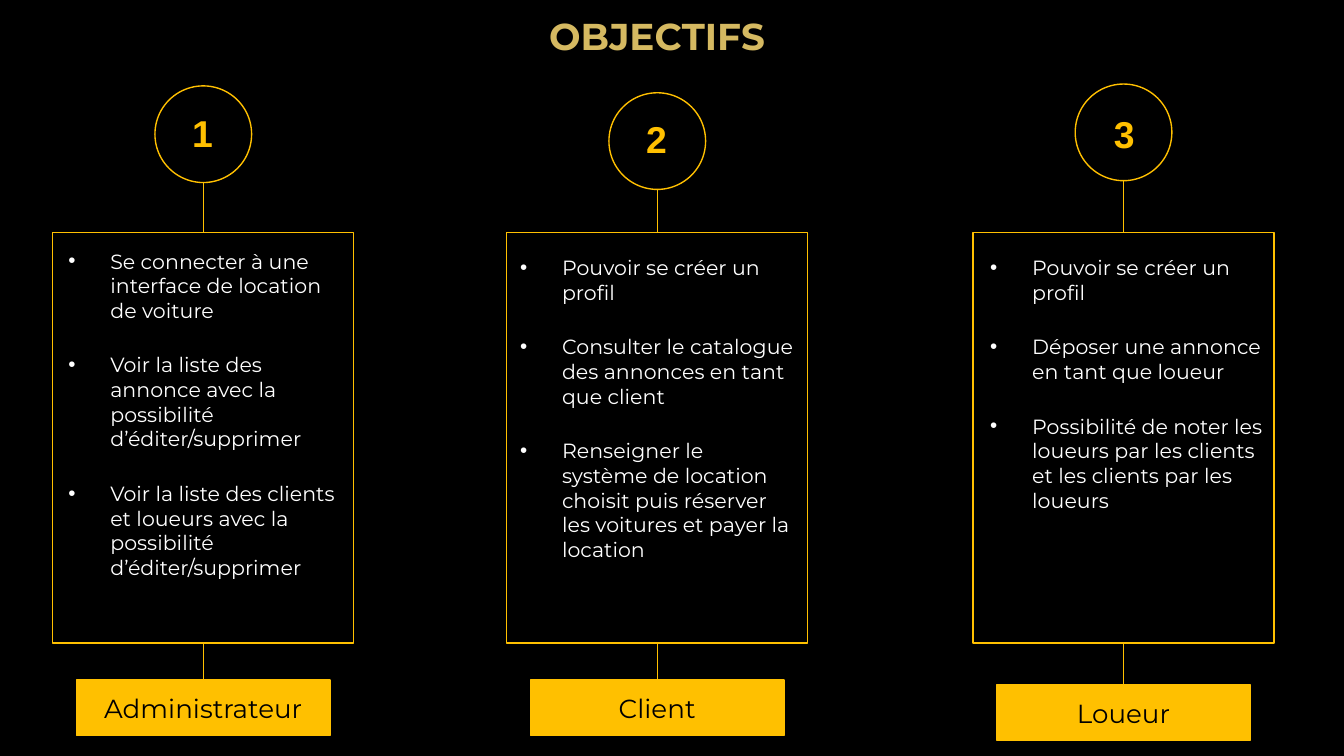
from lxml import etree
from pptx import Presentation
from pptx.dml.color import RGBColor
from pptx.enum.shapes import MSO_CONNECTOR, MSO_SHAPE
from pptx.enum.text import MSO_ANCHOR, PP_ALIGN
from pptx.oxml.ns import qn
from pptx.util import Pt

BLACK = RGBColor(0x00, 0x00, 0x00)
WHITE = RGBColor(0xFF, 0xFF, 0xFF)
AMBER = RGBColor(0xFF, 0xC0, 0x00)
GOLD = RGBColor(0xD5, 0xB9, 0x61)
RECTANGLE, OVAL = MSO_SHAPE.RECTANGLE, MSO_SHAPE.OVAL
STRAIGHT = MSO_CONNECTOR.STRAIGHT
LEFT, CENTER = PP_ALIGN.LEFT, PP_ALIGN.CENTER
TOP, MIDDLE, BOTTOM = MSO_ANCHOR.TOP, MSO_ANCHOR.MIDDLE, MSO_ANCHOR.BOTTOM
RECT_TOP, RECT_BOTTOM = 0, 2

TITLE = "OBJECTIFS"
ROLES = [
    dict(number="1", name="Administrateur", center=108.9, circle_top=46,
         number_at=(95.8, 55.4), list_at=(29.5, 126), label_top=364.4,
         goals=["Se connecter à une interface de location de voiture",
                "Voir la liste des annonce avec la possibilité d’éditer/supprimer",
                "Voir la liste des clients et loueurs avec la possibilité d’éditer/supprimer"]),
    dict(number="2", name="Client", center=352.1, circle_top=49.7,
         number_at=(339, 58.6), list_at=(271.5, 129.6), label_top=364.4,
         goals=["Pouvoir se créer un profil",
                "Consulter le catalogue des annonces en tant que client",
                "Renseigner le système de location choisit puis réserver "
                "les voitures et payer la location"]),
    dict(number="3", name="Loueur", center=601.9, circle_top=45,
         number_at=(589.7, 56), list_at=(523.4, 129.6), label_top=367,
         goals=["Pouvoir se créer un profil",
                "Déposer une annonce en tant que loueur",
                "Possibilité de noter les loueurs par les clients "
                "et les clients par les loueurs"]),
]
CIRCLE = 51.8
PANEL_TOP, PANEL_WIDTH, PANEL_HEIGHT = 124.4, 161.2, 220
LABEL_WIDTH, LABEL_HEIGHT = 136, 29.6

deck = Presentation()
deck.slide_width, deck.slide_height = Pt(720), Pt(405)
page = deck.slides.add_slide(deck.slide_layouts[6])
page.background.fill.solid()
page.background.fill.fore_color.rgb = BLACK


def write(frame, *texts, size=11, color=WHITE, font="Montserrat", bold=False,
          align=LEFT, anchor=TOP, inset=7.2, bullet=False):
    frame.word_wrap = True
    frame.vertical_anchor = anchor
    frame.margin_left = frame.margin_right = Pt(7.2)
    frame.margin_top = frame.margin_bottom = Pt(inset)
    for index, text in enumerate(texts):
        para = frame.add_paragraph() if index else frame.paragraphs[0]
        para.alignment = align
        if bullet:
            para.space_after = Pt(16)
            settings = para._p.get_or_add_pPr()
            settings.set("marL", str(Pt(22.5)))
            settings.set("indent", str(-Pt(22.5)))
            tint = etree.SubElement(settings, qn("a:buClr"))
            etree.SubElement(tint, qn("a:srgbClr"), val=str(color))
            etree.SubElement(settings, qn("a:buFont"), typeface="Arial")
            etree.SubElement(settings, qn("a:buChar"), char="•")
        span = para.add_run()
        span.text = text
        span.font.name, span.font.size = font, Pt(size)
        span.font.bold, span.font.color.rgb = bold, color


def add_text(left, top, width, height, *texts, **style):
    box = page.shapes.add_textbox(Pt(left), Pt(top), Pt(width), Pt(height))
    write(box.text_frame, *texts, **style)


def add_outline(kind, center, top, width, height, fill=None):
    shape = page.shapes.add_shape(kind, Pt(center - width / 2), Pt(top), Pt(width), Pt(height))
    shape.shadow.inherit = False
    if fill is None:
        shape.fill.background()
    else:
        shape.fill.solid()
        shape.fill.fore_color.rgb = fill
    shape.line.color.rgb, shape.line.width = AMBER, Pt(0.75)
    return shape


def add_link(center, start, end):
    link = page.shapes.add_connector(STRAIGHT, Pt(center), Pt(start), Pt(center), Pt(end))
    link.line.color.rgb, link.line.width = AMBER, Pt(0.75)
    etree.SubElement(link._element.spPr, qn("a:effectLst"))
    return link


add_text(159, -2.2, 386, 40.3, TITLE, size=20, color=GOLD, bold=True,
         align=CENTER, anchor=BOTTOM)

for role in ROLES:
    center, circle_top, label_top = role["center"], role["circle_top"], role["label_top"]
    add_outline(OVAL, center, circle_top, CIRCLE, CIRCLE)
    panel = add_outline(RECTANGLE, center, PANEL_TOP, PANEL_WIDTH, PANEL_HEIGHT)
    label = add_outline(RECTANGLE, center, label_top, LABEL_WIDTH, LABEL_HEIGHT, fill=AMBER)
    write(label.text_frame, role["name"], size=14, color=BLACK, align=CENTER, anchor=MIDDLE)

    add_link(center, circle_top + CIRCLE, PANEL_TOP).end_connect(panel, RECT_TOP)
    stem = add_link(center, PANEL_TOP + PANEL_HEIGHT, label_top)
    stem.begin_connect(panel, RECT_BOTTOM)
    stem.end_connect(label, RECT_TOP)

    add_text(*role["number_at"], 35, 31.5, role["number"], size=20, color=AMBER,
             font="Arial", bold=True, inset=3.6)
    add_text(*role["list_at"], PANEL_WIDTH, 216, *role["goals"], bullet=True)

deck.save("out.pptx")
